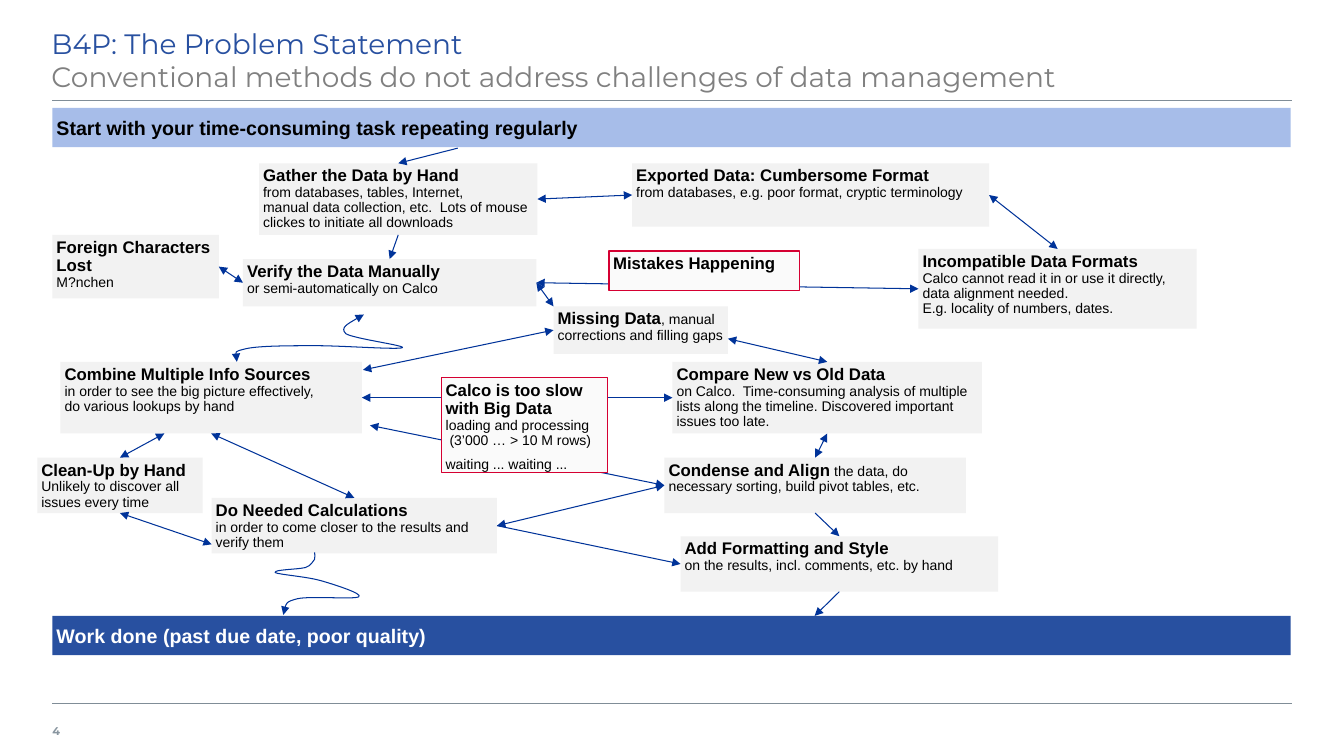
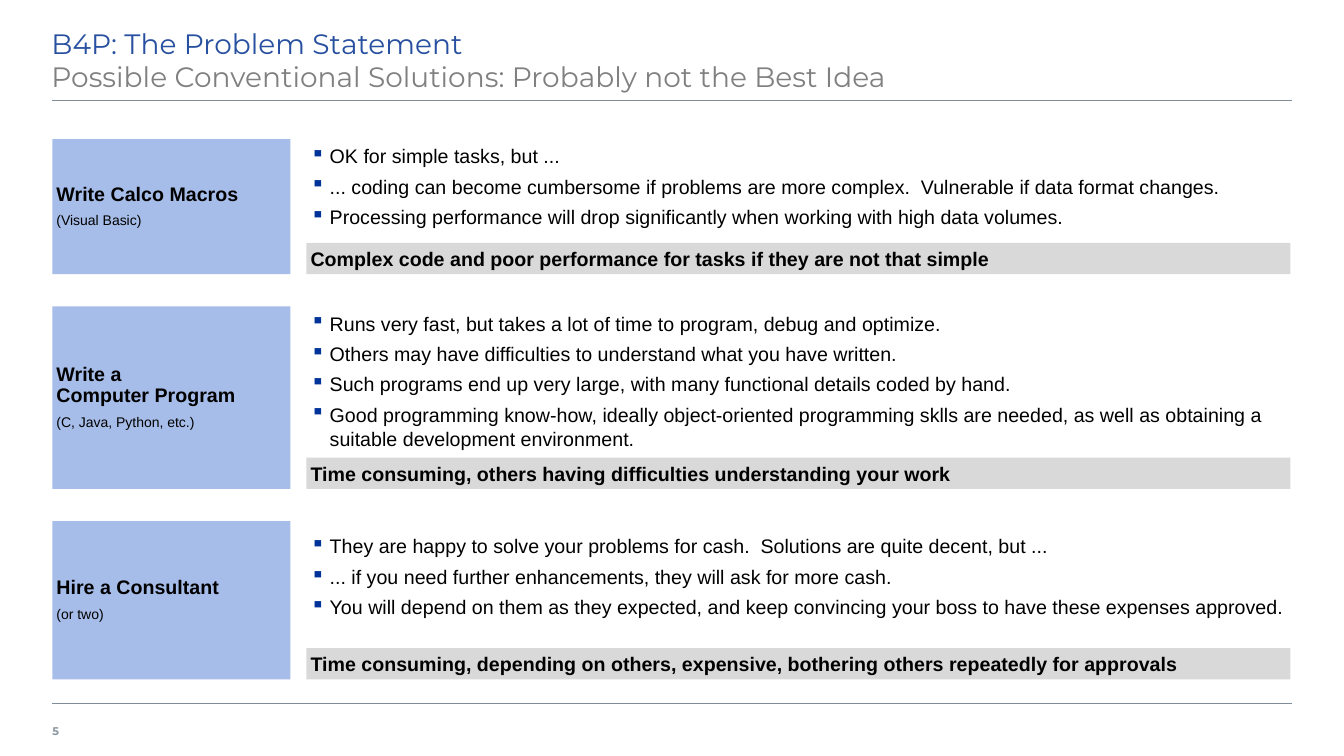
from lxml import etree
from pptx import Presentation
from pptx import util as u
from pptx.dml.color import RGBColor
from pptx.enum import shapes, text
from pptx.oxml import ns

INK, WHITE, NAVY, ARROW = "000000", "FFFFFF", "2850A0", "003399"
SKY, PALE, SILVER, CALLOUT = "A7BDE9", "F2F2F2", "D9D9D9", "FAFAFA"
RED, GREY, RULE, NUMBER = "D50032", "808080", "808D97", "8996A0"
LEFT, RIGHT, WIDTH = 0.52, 12.81, 12.28
TOP_SIDE, LEFT_SIDE, BOTTOM_SIDE, RIGHT_SIDE = range(4)  # connection sites


def rgb(color):
    return RGBColor.from_string(color)


def add_xml(parent, tag, **attributes):
    return etree.SubElement(parent, ns.qn(tag), attributes)


class Deck:
    """Holds the presentation, its style and the current slide."""

    def __init__(self):
        self.prs = Presentation()
        self.prs.slide_width = u.Inches(13.33)
        self.prs.slide_height = u.Inches(7.5)
        self.s = None

    # Shared frame: title, rules and page number
    def slide(self, number, title, subtitle):
        self.s = self.prs.slides.add_slide(self.prs.slide_layouts[5])
        sp = self.s.shapes.title
        sp.left, sp.top, sp.width, sp.height = map(u.Inches, (0.51, 0.21, WIDTH, 0.79))
        tf = self.frame(sp, (0, 0.05, 0.1, 0.05))
        self.paragraph(tf, [title, "\n" + subtitle], 20, color=NAVY, font="Montserrat")
        tf.paragraphs[0].runs[1].font.color.rgb = rgb(GREY)
        for y in (1, 6.98):
            self.line((LEFT, y), (RIGHT, y), RULE, 1)
        tf = self.text_box(LEFT, 7.06, 0.47, 0.39, (0, 0.05, 0.08, 0.05))
        tf.vertical_anchor = text.MSO_ANCHOR.MIDDLE
        self.paragraph(tf, [str(number)], 8, True, NUMBER, "Montserrat")

    # Text
    def frame(self, sp, insets=(0.04,) * 4, anchor=text.MSO_ANCHOR.TOP):
        tf = sp.text_frame
        tf.word_wrap, tf.auto_size = True, text.MSO_AUTO_SIZE.NONE
        tf.vertical_anchor = anchor
        (tf.margin_left, tf.margin_top,
         tf.margin_right, tf.margin_bottom) = map(u.Inches, insets)
        return tf

    def text_box(self, x, y, w, h, insets=(0.04,) * 4):
        return self.frame(self.s.shapes.add_textbox(*map(u.Inches, (x, y, w, h))), insets)

    def paragraph(self, tf, runs, size, bold=False, color=INK, font="Arial",
                  spacing=1.0, gap=0, bullet=None):
        p = tf.paragraphs[0]
        if p.runs:
            p = tf.add_paragraph()
            p.space_before = u.Pt(gap)
        else:
            p.space_before = u.Pt(0)
        p.space_after, p.line_spacing = u.Pt(gap), spacing
        p.alignment = text.PP_ALIGN.LEFT
        if bullet:
            pPr = p._p.get_or_add_pPr()
            indent = u.Inches(0.19)
            pPr.set("marL", str(indent))
            pPr.set("indent", str(-indent))
            add_xml(add_xml(pPr, "a:buClr"), "a:srgbClr", val=ARROW)
            add_xml(pPr, "a:buChar", char=bullet)
        p.font.size, p.font.bold, p.font.name = u.Pt(size), bold, font
        p.font.color.rgb = rgb(color)
        for run in runs:
            for i, part in enumerate(run.split("\n")):
                if i:
                    p.add_line_break()
                if part:
                    p.add_run().text = part
        return p

    # Filled boxes
    def box(self, x, y, w, h, fill, outline=None, anchor=text.MSO_ANCHOR.TOP):
        sp = self.s.shapes.add_shape(shapes.MSO_SHAPE.RECTANGLE,
                                     *map(u.Inches, (x, y, w, h)))
        sp.shadow.inherit = False
        sp.fill.solid()
        sp.fill.fore_color.rgb = rgb(fill)
        if outline:
            sp.line.color.rgb = rgb(outline)
            sp.line.width = u.Pt(0.75)
        else:
            sp.line.fill.background()
        self.frame(sp, anchor=anchor)
        return sp

    def band(self, y, words, fill, color):
        sp = self.box(LEFT, y, WIDTH, 0.39, fill, anchor=text.MSO_ANCHOR.MIDDLE)
        self.paragraph(sp.text_frame, [words], 14, True, color)

    def card(self, at, heading, body="", *more, fill=PALE, outline=None):
        sp = self.box(*at, fill, outline)
        tf = sp.text_frame
        p = self.paragraph(tf, [heading, body], 10, spacing=0.9, gap=3)
        for r in p.runs[:heading.count("\n") + 1]:
            r.font.size, r.font.bold = u.Pt(12), True
        for words in more:
            self.paragraph(tf, [words], 10, spacing=0.9, gap=3)
        return sp

    def label(self, y, h, heading, note):
        tf = self.box(LEFT, y, 2.36, h, SKY, anchor=text.MSO_ANCHOR.MIDDLE).text_frame
        self.paragraph(tf, [heading], 14, True, spacing=0.9, gap=3)
        self.paragraph(tf, [note], 10, spacing=0.9, gap=3)

    def bullets(self, x, y, w, items):
        tf = self.text_box(x, y, w, 1.1)
        for item in items:
            self.paragraph(tf, [item], 14, spacing=1.05, gap=2, bullet="▪")

    # Lines and arrows
    def heads(self, line, both):
        ln = line._get_or_add_ln()
        for tag in ("a:headEnd", "a:tailEnd")[0 if both else 1:]:
            add_xml(ln, tag, type="triangle")

    def line(self, start, end, color=ARROW, width=0.75):
        cx = self.s.shapes.add_connector(
            shapes.MSO_CONNECTOR.STRAIGHT, *map(u.Inches, (*start, *end)))
        cx.line.color.rgb = rgb(color)
        cx.line.width = u.Pt(width)
        add_xml(cx._element.spPr, "a:effectLst")
        return cx

    def arrow(self, start, end, both=True):
        """Each end is an (x, y) point or a (card, side) pair."""
        glued = [not isinstance(e[0], (int, float)) for e in (start, end)]
        cx = self.line(*((0, 0) if g else e for g, e in zip(glued, (start, end))))
        if glued[0]:
            cx.begin_connect(*start)
        if glued[1]:
            cx.end_connect(*end)
        self.heads(cx.line, both)

    def curve(self, points, both=True):
        """The points are a start, then three for each cubic segment."""
        emu = [tuple(map(u.Inches, pt)) for pt in points]
        builder = self.s.shapes.build_freeform(*emu[0])
        builder.add_line_segments(emu[1:], close=False)
        sp = builder.convert_to_shape()
        sp.shadow.inherit = False
        sp.fill.background()
        sp.line.color.rgb = rgb(ARROW)
        sp.line.width = u.Pt(0.75)
        self.heads(sp.line, both)
        outline = next(sp._element.iter(ns.qn("a:path")))
        steps = outline.findall(ns.qn("a:lnTo"))
        for i in range(0, len(steps), 3):
            cubic = add_xml(outline, "a:cubicBezTo")
            for step in steps[i:i + 3]:
                cubic.append(step[0])
                outline.remove(step)


def problem_slide(deck):
    deck.slide(4, "B4P: The Problem Statement",
               "Conventional methods do not address challenges of data management")
    deck.band(1.07, "Start with your time-consuming task repeating regularly", SKY, INK)
    deck.band(6.11, "Work done (past due date, poor quality)", NAVY, WHITE)

    # Steps and troubles
    card = deck.card
    gather = card((2.57, 1.62, 2.76, 0.71), "Gather the Data by Hand",
                  "\nfrom databases, tables, Internet,\nmanual data collection, etc.  "
                  "Lots of mouse clickes to initiate all downloads")
    verify = card((2.41, 2.57, 2.91, 0.47), "Verify the Data Manually",
                  "\nor semi-automatically on Calco")
    condense = card((6.59, 4.54, 2.99, 0.55), "Condense and Align",
                    " the data, do necessary sorting, build pivot tables, etc.")
    exported = card((6.27, 1.62, 3.54, 0.63), "Exported Data: Cumbersome Format",
                    "\nfrom databases, e.g. poor format, cryptic terminology")
    styling = card((6.75, 5.32, 3.15, 0.55), "Add Formatting and Style",
                   "\non the results, incl. comments, etc. by hand")
    compare = card((6.67, 3.59, 3.07, 0.71), "Compare New vs Old Data",
                   "\non Calco.  Time-consuming analysis of multiple lists along the "
                   "timeline. Discovered important issues too late.")
    foreign = card((0.52, 2.33, 1.65, 0.63), "Foreign Characters\nLost", "\nM?nchen")
    formats = card((9.11, 2.47, 2.76, 0.79), "Incompatible Data Formats",
                   "\nCalco cannot read it in or use it directly, data alignment "
                   "needed.\nE.g. locality of numbers, dates.")
    combine = card((0.6, 3.59, 2.99, 0.71), "Combine Multiple Info Sources",
                   "\nin order to see the big picture effectively,\n"
                   "do various lookups by hand")
    missing = card((5.49, 3.04, 1.73, 0.47), "Missing Data",
                   ", manual corrections and filling gaps")
    calculate = card((2.1, 4.94, 2.83, 0.55), "Do Needed Calculations",
                     "\nin order to come closer to the results and verify them")
    clean = card((0.37, 4.54, 1.64, 0.55), "Clean-Up by Hand",
                 "\nUnlikely to discover all\nissues every time")

    # One-way arrows
    for start, end in (
            ((4.54, 1.47), (gather, TOP_SIDE)),
            ((gather, BOTTOM_SIDE), (verify, TOP_SIDE)),
            ((calculate, RIGHT_SIDE), (styling, LEFT_SIDE)),
            ((condense, BOTTOM_SIDE), (styling, TOP_SIDE)),
            ((styling, BOTTOM_SIDE), (8.08, 6.11))):
        deck.arrow(start, end, both=False)

    # Two-way arrows
    for start, end in (
            ((gather, RIGHT_SIDE), (exported, LEFT_SIDE)),
            ((exported, RIGHT_SIDE), (formats, TOP_SIDE)),
            ((verify, RIGHT_SIDE), (formats, LEFT_SIDE)),
            ((verify, RIGHT_SIDE), (5.49, 3.04)),
            ((verify, LEFT_SIDE), (foreign, RIGHT_SIDE)),
            ((combine, RIGHT_SIDE), (compare, LEFT_SIDE)),
            ((3.6, 3.67), (missing, LEFT_SIDE)),
            ((7.22, 3.36), (compare, TOP_SIDE)),
            ((compare, BOTTOM_SIDE), (condense, TOP_SIDE)),
            ((3.67, 4.22), (condense, LEFT_SIDE)),
            ((calculate, RIGHT_SIDE), (condense, LEFT_SIDE)),
            ((combine, BOTTOM_SIDE), (calculate, TOP_SIDE)),
            ((1.63, 4.3), (clean, TOP_SIDE)),
            ((2.1, 5.4), (clean, BOTTOM_SIDE))):
        deck.arrow(start, end)

    # Winding arrows
    deck.curve([(3.12, 5.48), (3.12, 5.5), (3.13, 5.52), (3.12, 5.55),
                (3.1, 5.57), (3.09, 5.61), (3.03, 5.63),
                (2.96, 5.65), (2.71, 5.65), (2.73, 5.68),
                (2.76, 5.7), (3.04, 5.72), (3.18, 5.76),
                (3.32, 5.8), (3.6, 5.89), (3.56, 5.92),
                (3.52, 5.95), (3.08, 5.91), (2.95, 5.94),
                (2.83, 5.97), (2.82, 6.03), (2.81, 6.1)], both=False)
    deck.curve([(3.61, 3.12), (3.49, 3.19), (3.37, 3.25), (3.43, 3.31),
                (3.5, 3.36), (4.04, 3.43), (3.99, 3.45),
                (3.94, 3.47), (3.4, 3.43), (3.14, 3.43),
                (2.88, 3.43), (2.57, 3.43), (2.44, 3.46),
                (2.31, 3.49), (2.33, 3.54), (2.35, 3.59)])

    # Callouts over the arrows
    card((4.38, 3.75, 1.65, 0.94), "Calco is too slow with Big Data",
         "\nloading and processing\n (3’000 … > 10 M rows)", "waiting ... waiting ...",
         fill=CALLOUT, outline=RED)
    card((6.04, 2.49, 1.89, 0.39), "Mistakes Happening", fill=CALLOUT, outline=RED)


def solutions_slide(deck):
    deck.slide(5, "B4P: The Problem Statement",
               "Possible Conventional Solutions: Probably not the Best Idea")
    x, w, bar_height, gap = 3.04, 9.76, 0.31, 0.32
    # Height, bullet offset, heading, note, bullets, verdict
    rows = (
        (1.34, 0, "Write Calco Macros", "(Visual Basic)",
         ("OK for simple tasks, but ...",
          "... coding can become cumbersome if problems are more complex.  "
          "Vulnerable if data format changes.",
          "Processing performance will drop significantly when working with "
          "high data volumes."),
         "Complex code and poor performance for tasks if they are not that simple"),
        (1.81, 0, "Write a\nComputer Program", "(C, Java, Python, etc.)",
         ("Runs very fast, but takes a lot of time to program, debug and optimize.",
          "Others may have difficulties to understand what you have written.",
          "Such programs end up very large, with many functional details coded by hand.",
          "Good programming know-how, ideally object-oriented programming sklls are "
          "needed, as well as obtaining a suitable development environment."),
         "Time consuming, others having difficulties understanding your work"),
        (1.57, 0.08, "Hire a Consultant", "(or two)",
         ("They are happy to solve your problems for cash.  Solutions are quite "
          "decent, but ...",
          "... if you need further enhancements, they will ask for more cash.",
          "You will depend on them as they expected, and keep convincing your boss "
          "to have these expenses approved."),
         "Time consuming, depending on others, expensive, bothering others "
         "repeatedly for approvals"),
    )
    y = 1.38
    for h, offset, heading, note, items, verdict in rows:
        deck.label(y, h, heading, note)
        bar = deck.box(x, y + h - bar_height, w, bar_height, SILVER)
        deck.paragraph(bar.text_frame, [verdict], 14, True)
        deck.bullets(x, y + offset, w, items)
        y += h + gap


def main():
    deck = Deck()
    problem_slide(deck)
    solutions_slide(deck)
    deck.prs.save("out.pptx")


if __name__ == "__main__":
    main()
